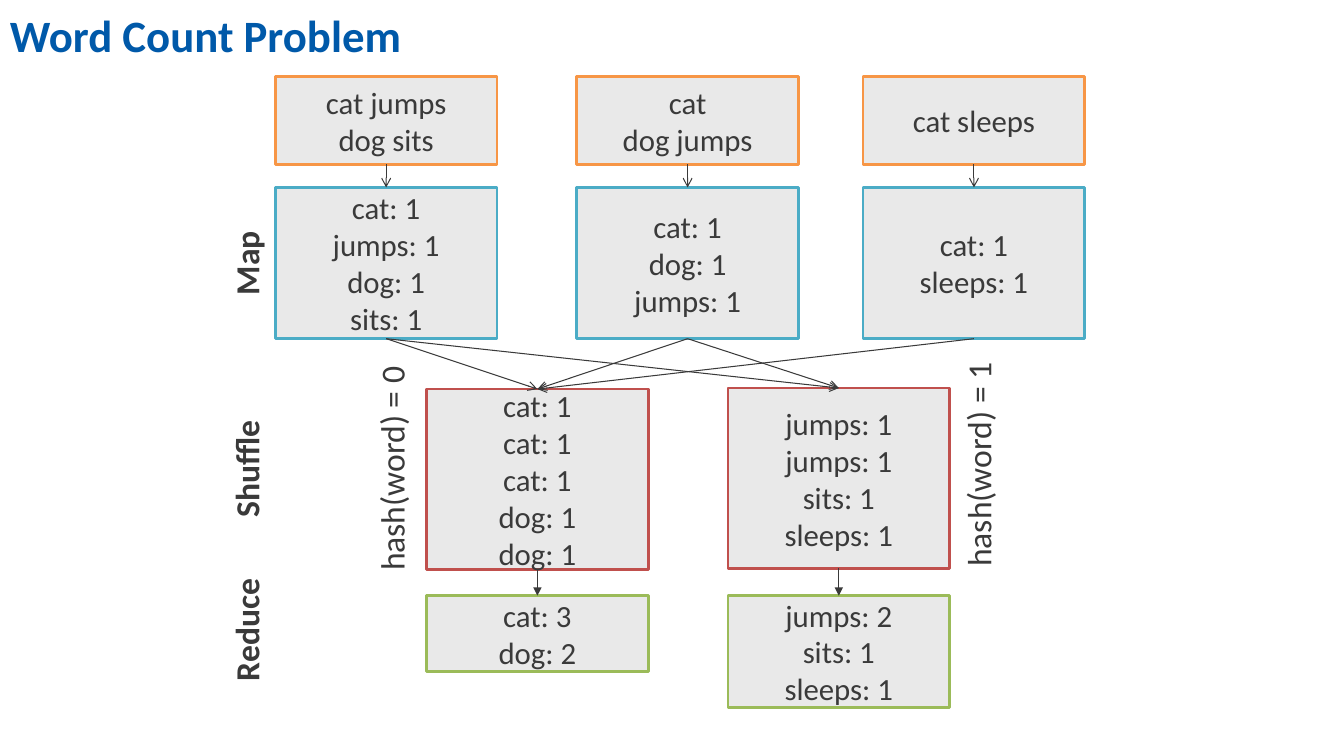
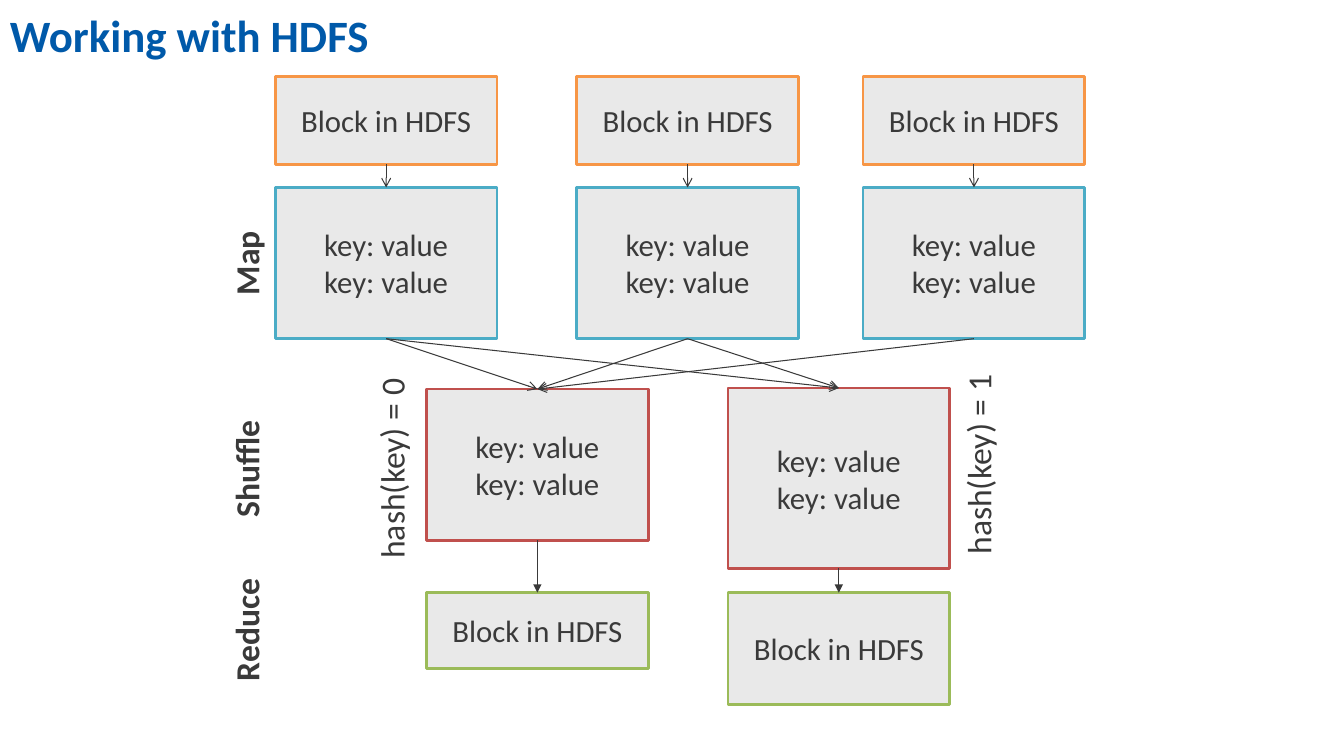
from dataclasses import dataclass

from lxml import etree
from pptx import Presentation
from pptx.dml.color import RGBColor
from pptx.enum.shapes import MSO_CONNECTOR, MSO_SHAPE
from pptx.enum.text import MSO_ANCHOR, PP_ALIGN
from pptx.oxml.ns import qn
from pptx.util import Inches, Pt

RECTANGLE = MSO_SHAPE.RECTANGLE
STRAIGHT = MSO_CONNECTOR.STRAIGHT
MIDDLE = MSO_ANCHOR.MIDDLE
LEFT, CENTER = PP_ALIGN.LEFT, PP_ALIGN.CENTER
TOP_SITE, BOTTOM_SITE = 0, 2


@dataclass(frozen=True)
class Theme:
    font: str = "Calibri"
    title: RGBColor = RGBColor(0x00, 0x59, 0xA9)
    ink: RGBColor = RGBColor(0x3A, 0x3A, 0x3A)
    fill: RGBColor = RGBColor(0xE9, 0xE9, 0xE9)
    source: RGBColor = RGBColor(0xF7, 0x96, 0x46)
    map: RGBColor = RGBColor(0x4B, 0xAC, 0xC6)
    shuffle: RGBColor = RGBColor(0xC0, 0x50, 0x4D)
    reduce: RGBColor = RGBColor(0x9B, 0xBB, 0x59)
    title_size: int = 32
    label_size: int = 24
    body_size: int = 22
    border: float = 2
    arrow: float = 0.75


@dataclass(frozen=True)
class Box:
    left: float
    top: float
    width: float
    height: float

    def inches(self):
        return [Inches(side) for side in (self.left, self.top, self.width, self.height)]


THEME = Theme()
PAGE_WIDTH, PAGE_HEIGHT = 13.33, 7.5
TITLE_BOX = Box(0, 0, PAGE_WIDTH, 0.68)
FLOW_BOX = Box(2.73, 0.76, 8.03, 6.26)

# Offsets inside the flow box
NODE_WIDTH = 2.2
MAPPER_LEFTS = (0, 2.99, 5.83)
REDUCER_LEFTS = (1.5, 4.49)
SOURCE_HEIGHT = 0.87
MAP_TOP, MAP_HEIGHT = 1.1, 1.5
SHUFFLE_TOPS = (3.1, 3.09)
REDUCE_HEIGHTS = (0.75, 1.11)
STAGE_LABEL_X = -0.29
STAGE_LABELS = (("Map", 1.85), ("Shuffle", 3.89), ("Reduce", 5.49))
HASH_LABEL_CENTERS = ((1.15, 3.89), (6.97, 3.85))
LABEL_WIDTH, LABEL_HEIGHT = 2.45, 0.5

# Each mapper paired with the reducer it feeds
ROUTES = ((0, 0), (1, 0), (2, 0), (0, 1), (1, 1))

DIAGRAMS = (
    {
        "title": "Word Count Problem",
        "sources": (("cat jumps", "dog sits"), ("cat", "dog jumps"), ("cat sleeps",)),
        "maps": (
            ("cat: 1", "jumps: 1", "dog: 1", "sits: 1"),
            ("cat: 1", "dog: 1", "jumps: 1"),
            ("cat: 1", "sleeps: 1"),
        ),
        "shuffles": (
            ("cat: 1", "cat: 1", "cat: 1", "dog: 1", "dog: 1"),
            ("jumps: 1", "jumps: 1", "sits: 1", "sleeps: 1"),
        ),
        "reduces": (("cat: 3", "dog: 2"), ("jumps: 2", "sits: 1", "sleeps: 1")),
        "hashed": "word",
        "shuffle_heights": (1.79, 1.79),
        "reduce_top": 5.15,
    },
    {
        "title": "Working with HDFS",
        "sources": (("Block in HDFS",),) * 3,
        "maps": (("key: value",) * 2,) * 3,
        "shuffles": (("key: value",) * 2,) * 2,
        "reduces": (("Block in HDFS",),) * 2,
        "hashed": "key",
        "shuffle_heights": (1.5, 1.79),
        "reduce_top": 5.12,
    },
)


def write(shape, lines, size, color=THEME.ink, bold=False, align=CENTER, wrap=True):
    frame = shape.text_frame
    frame.word_wrap = wrap
    frame.vertical_anchor = MIDDLE
    frame.text = "\n".join(lines)
    for paragraph in frame.paragraphs:
        paragraph.alignment = align
        font = paragraph.font
        font.name, font.size, font.bold = THEME.font, Pt(size), bold
        font.color.rgb = color


def add_title(page, box, text):
    title = page.shapes.add_textbox(*box.inches())
    write(title, [text], THEME.title_size, THEME.title, bold=True, align=LEFT)


def add_upright_label(page, center_x, center_y, text, bold=False):
    """Add a label that reads from bottom to top around the given centre."""
    box = Box(center_x - LABEL_WIDTH / 2, center_y - LABEL_HEIGHT / 2,
              LABEL_WIDTH, LABEL_HEIGHT)
    label = page.shapes.add_textbox(*box.inches())
    label.rotation = 270
    write(label, [text], THEME.label_size, bold=bold, wrap=False)


def add_node(page, box, lines, border):
    node = page.shapes.add_shape(RECTANGLE, *box.inches())
    node.shadow.inherit = False
    node.fill.solid()
    node.fill.fore_color.rgb = THEME.fill
    node.line.color.rgb = border
    node.line.width = Pt(THEME.border)
    write(node, lines, THEME.body_size)
    return node


def add_arrow(page, upper, lower, head="arrow"):
    """Join the bottom of one node to the top of another."""
    arrow = page.shapes.add_connector(STRAIGHT, 0, 0, 0, 0)
    arrow.begin_connect(upper, BOTTOM_SITE)
    arrow.end_connect(lower, TOP_SITE)
    arrow.line.color.rgb = THEME.ink
    arrow.line.width = Pt(THEME.arrow)
    etree.SubElement(arrow.line._get_or_add_ln(), qn("a:tailEnd"), type=head)
    etree.SubElement(arrow._element.spPr, qn("a:effectLst"))


def add_row(page, box, lefts, tops, heights, texts, border):
    return [
        add_node(page, Box(box.left + left, box.top + top, NODE_WIDTH, height), lines, border)
        for left, top, height, lines in zip(lefts, tops, heights, texts)
    ]


def add_mappers(page, box, diagram):
    sources = add_row(page, box, MAPPER_LEFTS, (0,) * 3, (SOURCE_HEIGHT,) * 3,
                      diagram["sources"], THEME.source)
    maps = add_row(page, box, MAPPER_LEFTS, (MAP_TOP,) * 3, (MAP_HEIGHT,) * 3,
                   diagram["maps"], THEME.map)
    for source, mapper in zip(sources, maps):
        add_arrow(page, source, mapper)
    return maps


def add_reducers(page, box, diagram):
    shuffles = add_row(page, box, REDUCER_LEFTS, SHUFFLE_TOPS, diagram["shuffle_heights"],
                       diagram["shuffles"], THEME.shuffle)
    reduces = add_row(page, box, REDUCER_LEFTS, (diagram["reduce_top"],) * 2,
                      REDUCE_HEIGHTS, diagram["reduces"], THEME.reduce)
    for shuffle, reducer in zip(shuffles, reduces):
        add_arrow(page, shuffle, reducer, head="triangle")
    return shuffles


def add_labels(page, box, hashed):
    for text, center_y in STAGE_LABELS:
        add_upright_label(page, box.left + STAGE_LABEL_X, box.top + center_y, text, bold=True)
    for number, (center_x, center_y) in enumerate(HASH_LABEL_CENTERS):
        add_upright_label(page, box.left + center_x, box.top + center_y,
                          f"hash({hashed}) = {number}")


def add_diagram_slide(deck, diagram):
    page = deck.slides.add_slide(deck.slide_layouts[6])
    add_title(page, TITLE_BOX, diagram["title"])
    add_labels(page, FLOW_BOX, diagram["hashed"])
    maps = add_mappers(page, FLOW_BOX, diagram)
    shuffles = add_reducers(page, FLOW_BOX, diagram)
    for mapper, shuffle in ROUTES:
        add_arrow(page, maps[mapper], shuffles[shuffle])


def main():
    deck = Presentation()
    deck.slide_width, deck.slide_height = Inches(PAGE_WIDTH), Inches(PAGE_HEIGHT)
    for diagram in DIAGRAMS:
        add_diagram_slide(deck, diagram)
    deck.save("out.pptx")


if __name__ == "__main__":
    main()
